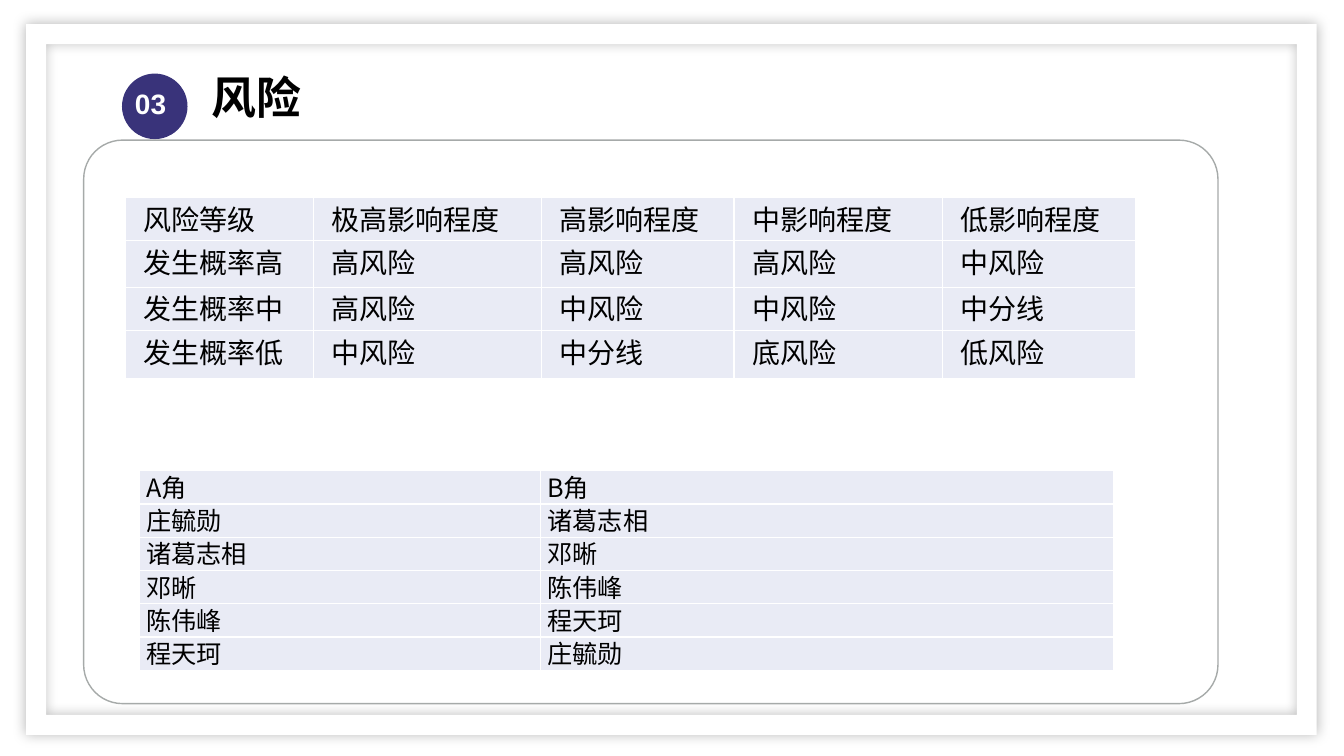
from dataclasses import dataclass
from pptx import Presentation
from pptx.dml.color import RGBColor
from pptx.enum.shapes import MSO_SHAPE
from pptx.enum.text import MSO_ANCHOR, PP_ALIGN
from pptx.oxml import parse_xml
from pptx.oxml.ns import nsdecls, qn
from pptx.util import Inches, Pt


@dataclass(frozen=True)
class Theme:
    white: str = "FFFFFF"
    ink: str = "000000"
    badge: str = "39337A"
    outline: str = "A6AAA9"
    cell: str = "E9EBF5"
    chinese: str = "Noto Sans CJK SC"
    latin: str = "Arial"
    heading: int = 32
    body: int = 20
    small: int = 18
    rule: int = 1


def write(frame, text, *, size, font, color, bold=False, align=None,
          indent=0.0, spacing=None):
    paragraph = frame.paragraphs[0]
    paragraph.alignment = align
    if spacing:
        paragraph.line_spacing = spacing
    if indent:
        properties = paragraph._p.get_or_add_pPr()
        properties.set("marL", "0")
        properties.set("indent", str(Inches(indent)))
    run = paragraph.add_run()
    run.text = text
    run.font.size = Pt(size)
    run.font.bold = bold
    run.font.name = font
    run.font.color.rgb = RGBColor.from_string(color)
    run._r.get_or_add_rPr().find(qn("a:latin")).addnext(
        parse_xml(f'<a:ea {nsdecls("a")} typeface="{font}"/>'))


class SlideBuilder:
    def __init__(self, slide, theme):
        self.slide = slide
        self.theme = theme

    def shape(self, kind, box, *, fill=None, line=None, adjust=None):
        shape = self.slide.shapes.add_shape(kind, *map(Inches, box))
        shape.shadow.inherit = False
        if adjust is not None:
            shape.adjustments[0] = adjust
        if fill:
            shape.fill.solid()
            shape.fill.fore_color.rgb = RGBColor.from_string(fill)
        else:
            shape.fill.background()
        if line:
            shape.line.color.rgb = RGBColor.from_string(line)
            shape.line.width = Pt(self.theme.rule)
        else:
            shape.line.fill.background()
        return shape

    def glow(self, shape, *, blur, opacity):
        effects = shape._element.spPr.find(qn("a:effectLst"))
        effects.append(parse_xml(
            f'<a:outerShdw {nsdecls("a")} blurRad="{Pt(blur)}" dist="0" dir="0" '
            f'algn="ctr" rotWithShape="0"><a:srgbClr val="{self.theme.ink}">'
            f'<a:alpha val="{opacity * 1000}"/></a:srgbClr></a:outerShdw>'))

    def title(self, text, box):
        heading = self.slide.shapes.title
        heading.left, heading.top, heading.width, heading.height = map(Inches, box)
        heading.text_frame.vertical_anchor = MSO_ANCHOR.TOP
        write(heading.text_frame, text, size=self.theme.heading,
              font=self.theme.chinese, color=self.theme.ink, bold=True,
              align=PP_ALIGN.LEFT)

    def label(self, text, box, **style):
        frame = self.slide.shapes.add_textbox(*map(Inches, box)).text_frame
        frame.word_wrap = True
        write(frame, text, **style)

    def border(self, cell):
        properties = cell._tc.get_or_add_tcPr()
        for position, side in enumerate(("lnL", "lnR", "lnT", "lnB")):
            properties.insert(position, parse_xml(
                f'<a:{side} {nsdecls("a")} w="{Pt(self.theme.rule)}"><a:solidFill>'
                f'<a:srgbClr val="{self.theme.white}"/></a:solidFill></a:{side}>'))

    def table(self, rows, corner, widths, heights, *, size, indent=0.0, spacing=None):
        table = self.slide.shapes.add_table(
            len(rows), len(widths), *map(Inches, (*corner, sum(widths), sum(heights)))).table
        table.first_row = table.horz_banding = False
        for column, width in zip(table.columns, widths):
            column.width = Inches(width)
        for row, height, texts in zip(table.rows, heights, rows):
            row.height = Inches(height)
            for cell, text in zip(row.cells, texts):
                cell.margin_left = cell.margin_right = Inches(0.07)
                cell.margin_top = cell.margin_bottom = 0
                cell.fill.solid()
                cell.fill.fore_color.rgb = RGBColor.from_string(self.theme.cell)
                self.border(cell)
                write(cell.text_frame, text, size=size, font=self.theme.chinese,
                      color=self.theme.ink, align=PP_ALIGN.JUSTIFY,
                      indent=indent, spacing=spacing)


def main():
    theme = Theme()
    deck = Presentation()
    deck.slide_width, deck.slide_height = Inches(13.33), Inches(7.5)
    page = SlideBuilder(deck.slides.add_slide(deck.slide_layouts[5]), theme)

    border = page.shape(MSO_SHAPE.FRAME, (0.26, 0.24, 12.8, 7.05),
                        fill=theme.white, adjust=0.028)
    page.glow(border, blur=9, opacity=27)
    page.title("风险", (2, 0.64, 5.19, 0.64))
    page.shape(MSO_SHAPE.OVAL, (1.21, 0.73, 0.65, 0.65), fill=theme.badge)
    page.label("03", (1.24, 0.81, 0.62, 0.44), size=theme.body,
               font=theme.latin, color=theme.white, bold=True)
    page.shape(MSO_SHAPE.ROUNDED_RECTANGLE, (0.83, 1.39, 11.25, 5.59),
               line=theme.outline, adjust=0.069)

    members = ["庄毓勋", "诸葛志相", "邓晰", "陈伟峰", "程天珂"]
    backups = members[1:] + members[:1]
    pairs = [("A角", "B角"), *zip(members, backups)]
    page.table(pairs, (1.38, 4.67), (3.98, 5.69), [0.33] * len(pairs),
               size=theme.small, spacing=0.91)

    risks = [
        ("风险等级", "极高影响程度", "高影响程度", "中影响程度", "低影响程度"),
        ("发生概率高", "高风险", "高风险", "高风险", "中风险"),
        ("发生概率中", "高风险", "中风险", "中风险", "中分线"),
        ("发生概率低", "中风险", "中分线", "底风险", "低风险"),
    ]
    page.table(risks, (1.24, 1.96), (1.87, 2.26, 1.91, 2.07, 1.91),
               (0.43, 0.46, 0.43, 0.48), size=theme.body, indent=0.11)
    deck.save("out.pptx")


if __name__ == "__main__":
    main()
